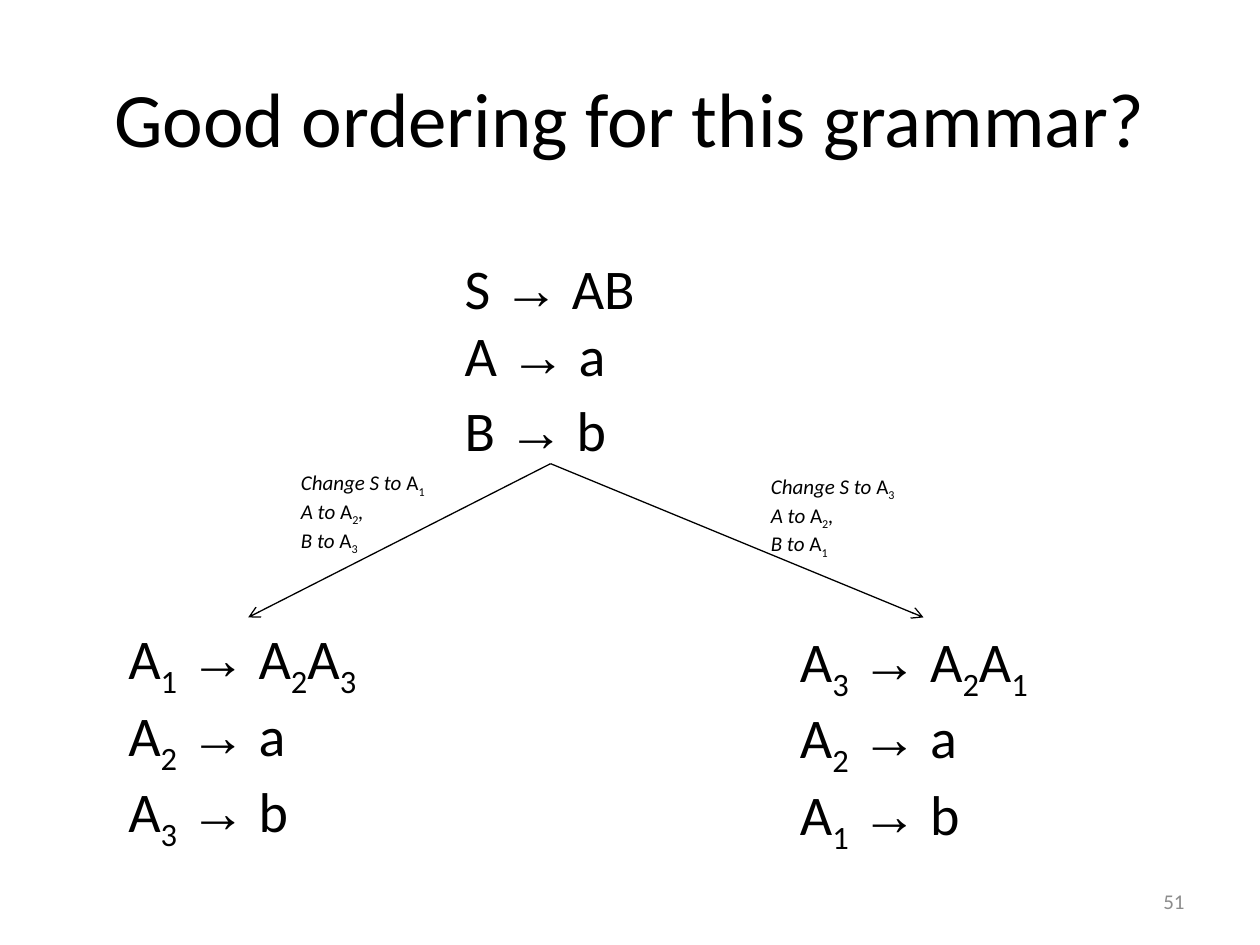
from typing import NamedTuple

from lxml import etree
from pptx import Presentation
from pptx.dml.color import RGBColor
from pptx.enum.shapes import MSO_CONNECTOR
from pptx.enum.text import MSO_ANCHOR, MSO_AUTO_SIZE, PP_ALIGN
from pptx.oxml.ns import qn
from pptx.util import Inches, Pt

COLUMNS, ROWS = 100, 75
BLACK, GREY = "000000", "8C8C8C"
RULE_SIZE, NOTE_SIZE = 32, 12

deck = Presentation()
deck.slide_width, deck.slide_height = Inches(10), Inches(7.5)
slide = deck.slides.add_slide(deck.slide_layouts[6])


class Run(NamedTuple):
    text: str
    font: str = "Calibri"
    italic: bool = False
    subscript: bool = False


class Area(NamedTuple):
    column: float
    row: float
    columns: float
    rows: float


class Branch(NamedTuple):
    """One numbering of S, A and B, with the places of its parts."""
    order: str
    note: Area
    rules: Area
    arrow_end: tuple[float, float]


Line = list[Run]


def color(value: str) -> RGBColor:
    return RGBColor.from_string(value)


def across(column: float) -> int:
    return round(deck.slide_width * column / COLUMNS)


def down(row: float) -> int:
    return round(deck.slide_height * row / ROWS)


def add_text(area: Area, lines: list[Line], size: float, ink: str = BLACK,
             align: PP_ALIGN = PP_ALIGN.LEFT, anchor: MSO_ANCHOR = MSO_ANCHOR.TOP):
    box = slide.shapes.add_textbox(across(area.column), down(area.row),
                                   across(area.columns), down(area.rows))
    frame = box.text_frame
    frame_format = {"word_wrap": True, "auto_size": MSO_AUTO_SIZE.NONE, "vertical_anchor": anchor}
    for name, value in frame_format.items():
        setattr(frame, name, value)
    for number, line in enumerate(lines):
        paragraph = frame.add_paragraph() if number else frame.paragraphs[0]
        paragraph.alignment = align
        for part in line:
            run = paragraph.add_run()
            run.text = part.text
            font_format = {"name": part.font, "size": Pt(size), "italic": part.italic}
            for name, value in font_format.items():
                setattr(run.font, name, value)
            run.font.color.rgb = color(ink)
            if part.subscript:
                run.font._element.set("baseline", "-25000")
    return frame


def add_arrow(start: tuple[float, float], end: tuple[float, float]) -> None:
    arrow = slide.shapes.add_connector(MSO_CONNECTOR.STRAIGHT, across(start[0]), down(start[1]),
                                       across(end[0]), down(end[1]))
    arrow.line.color.rgb = color(BLACK)
    arrow.line.width = Pt(0.75)
    etree.SubElement(arrow.line._get_or_add_ln(), qn("a:tailEnd"), type="arrow")
    etree.SubElement(arrow._element.spPr, qn("a:effectLst"))


def variable(index: str) -> Line:
    return [Run("A"), Run(index, subscript=True)]


def rule(head: Line, body: Line) -> Line:
    return [*head, Run(" "), Run("→", font="Arial"), Run(" "), *body]


def renaming_note(order: str) -> list[Line]:
    start, first, second = order
    return [
        [Run("Change S to ", italic=True), *variable(start)],
        [Run("A to ", italic=True), *variable(first), Run(",", italic=True)],
        [Run("B to ", italic=True), *variable(second)],
    ]


def renamed_rules(order: str) -> list[Line]:
    start, first, second = order
    return [
        rule(variable(start), variable(first) + variable(second)),
        rule(variable(first), [Run("a")]),
        rule(variable(second), [Run("b")]),
    ]


GRAMMAR = {"S": "AB", "A": "a", "B": "b"}
FORK = (43.7, 36.8)
BRANCHES = [
    Branch("123", Area(22.9, 36.8, 14, 7.1), Area(9.2, 49, 23, 17.2), (19.7, 49)),
    Branch("321", Area(60.2, 37.1, 14, 7.1), Area(62.5, 49.2, 23, 17.2), (73.3, 49)),
]

add_text(Area(5, 3, 90, 12.5), [[Run("Good ordering for this grammar?")]], 44,
         align=PP_ALIGN.CENTER, anchor=MSO_ANCHOR.MIDDLE)
grammar = add_text(Area(35.9, 19.6, 18, 17.2),
                   [rule([Run(head)], [Run(body)]) for head, body in GRAMMAR.items()],
                   RULE_SIZE)
grammar.paragraphs[-1].space_before = Pt(4.5)
for branch in BRANCHES:
    add_text(branch.rules, renamed_rules(branch.order), RULE_SIZE)
    add_arrow(FORK, branch.arrow_end)
    add_text(branch.note, renaming_note(branch.order), NOTE_SIZE)
add_text(Area(71.7, 69.5, 23.3, 4), [[Run("51")]], 12, GREY, PP_ALIGN.RIGHT, MSO_ANCHOR.MIDDLE)

deck.save("out.pptx")
